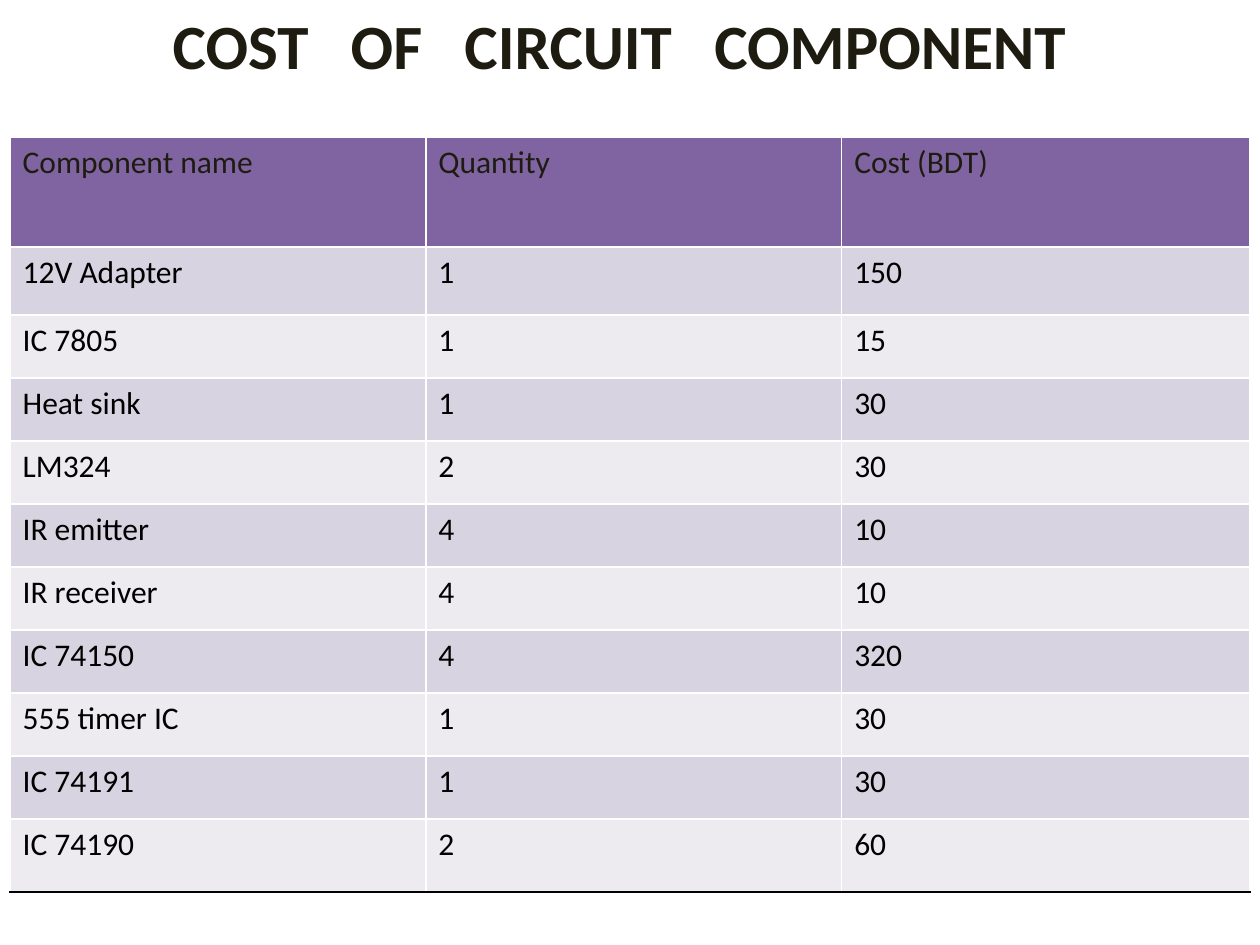
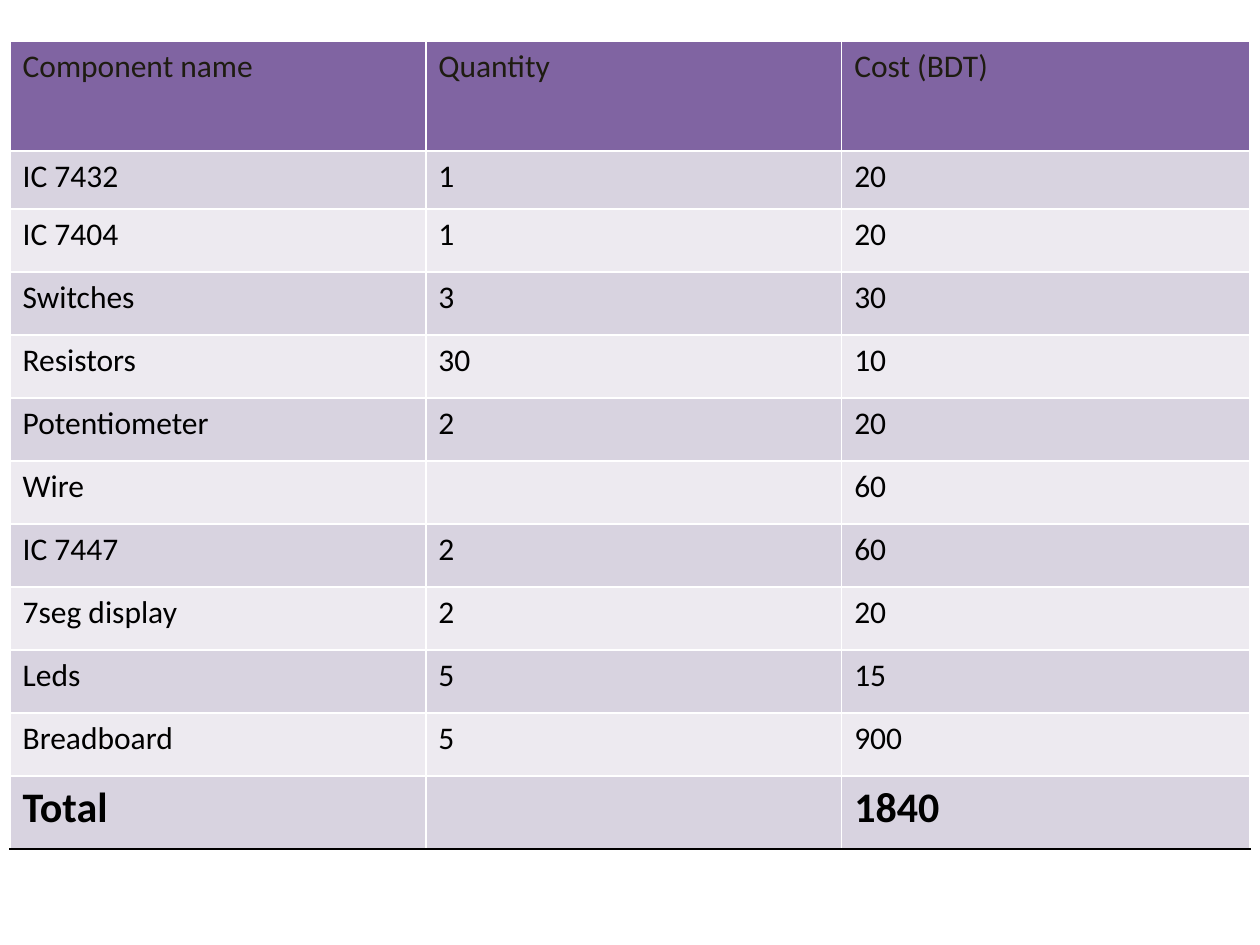
import dataclasses

import lxml.etree
import pptx
import pptx.dml.color
import pptx.enum.text
import pptx.oxml.ns
import pptx.util

Inches = pptx.util.Inches
Pt = pptx.util.Pt


@dataclasses.dataclass(frozen=True)
class Theme:
    font: str = "Calibri"
    heading: str = "1E1C11"
    text: str = "000000"
    header_fill: str = "8064A2"
    band_fills: tuple = ("D8D3E0", "EDEAF0")
    grid: str = "FFFFFF"
    closing_line: str = "000000"
    line_width: float = 1
    title_size: int = 36
    word_gap: int = 16
    body_size: int = 18
    total_size: int = 24


THEME = Theme()

HEADER = ("Component name", "Quantity", "Cost (BDT)")
COLUMN_WIDTHS = (3.3, 3.3, 3.24)
TABLE_LEFT = 0.08
HEADER_HEIGHT, ROW_HEIGHT, LAST_HEIGHT = 0.87, 0.5, 0.58

SLIDES = [
    {
        "title": "COST OF CIRCUIT COMPONENT",
        "table_top": 1.09,
        "first_height": 0.54,
        "components": [
            ("12V Adapter", "1", "150"),
            ("IC 7805", "1", "15"),
            ("Heat sink", "1", "30"),
            ("LM324", "2", "30"),
            ("IR emitter", "4", "10"),
            ("IR receiver", "4", "10"),
            ("IC 74150", "4", "320"),
            ("555 timer IC", "1", "30"),
            ("IC 74191", "1", "30"),
            ("IC 74190", "2", "60"),
        ],
    },
    {
        "table_top": 0.33,
        "first_height": 0.46,
        "components": [
            ("IC 7432", "1", "20"),
            ("IC 7404", "1", "20"),
            ("Switches", "3", "30"),
            ("Resistors", "30", "10"),
            ("Potentiometer", "2", "20"),
            ("Wire", "", "60"),
            ("IC 7447", "2", "60"),
            ("7seg display", "2", "20"),
            ("Leds", "5", "15"),
            ("Breadboard", "5", "900"),
        ],
        "total": ("Total", "", "1840"),
    },
]


def add_run(paragraph, text, size, color, bold=False):
    run = paragraph.add_run()
    run.text = text
    run.font.name = THEME.font
    run.font.size = Pt(size)
    run.font.bold = bold
    run.font.color.rgb = pptx.dml.color.RGBColor.from_string(color)
    return run


def add_title(slide, text):
    """Fill the title placeholder, widening the spaces between words."""
    title = slide.shapes.title
    title.left, title.top = Inches(0), Inches(0)
    title.width, title.height = Inches(9.83), Inches(0.71)
    frame = title.text_frame
    frame.word_wrap = True
    frame.auto_size = pptx.enum.text.MSO_AUTO_SIZE.SHAPE_TO_FIT_TEXT
    frame.vertical_anchor = pptx.enum.text.MSO_ANCHOR.TOP
    paragraph = frame.paragraphs[0]
    paragraph.alignment = pptx.enum.text.PP_ALIGN.CENTER
    for index, word in enumerate(text.split()):
        if index:
            gap = add_run(paragraph, " ", THEME.title_size, THEME.heading, True)
            gap.font._element.set("spc", str(THEME.word_gap * 100))
        add_run(paragraph, word, THEME.title_size, THEME.heading, True)


def set_borders(cell, bottom_color):
    properties = cell._tc.get_or_add_tcPr()
    qn = pptx.oxml.ns.qn
    for index, side in enumerate("LRTB"):
        line = lxml.etree.Element(qn(f"a:ln{side}"), w=str(Pt(THEME.line_width)))
        fill = lxml.etree.SubElement(line, qn("a:solidFill"))
        color = bottom_color if side == "B" else THEME.grid
        lxml.etree.SubElement(fill, qn("a:srgbClr"), val=color)
        properties.insert(index, line)


def format_cell(cell, text, fill, size, color, bold, bottom_color):
    cell.fill.solid()
    cell.fill.fore_color.rgb = pptx.dml.color.RGBColor.from_string(fill)
    set_borders(cell, bottom_color)
    if text:
        add_run(cell.text_frame.paragraphs[0], text, size, color, bold)


def add_cost_table(slide, content):
    rows = [HEADER, *content["components"]]
    if "total" in content:
        rows.append(content["total"])
    last = len(rows) - 1
    heights = [HEADER_HEIGHT, content["first_height"]]
    heights += [ROW_HEIGHT] * (last - 2) + [LAST_HEIGHT]
    table = slide.shapes.add_table(
        len(rows), len(HEADER), Inches(TABLE_LEFT), Inches(content["table_top"]),
        Inches(sum(COLUMN_WIDTHS)), Inches(sum(heights)),
    ).table
    for column, width in zip(table.columns, COLUMN_WIDTHS):
        column.width = Inches(width)
    for index, (values, height) in enumerate(zip(rows, heights)):
        table.rows[index].height = Inches(height)
        is_header = index == 0
        is_total = index == last and "total" in content
        fill = THEME.header_fill if is_header else THEME.band_fills[(index - 1) % 2]
        size = THEME.total_size if is_total else THEME.body_size
        color = THEME.heading if is_header else THEME.text
        bottom_color = THEME.closing_line if index == last else THEME.grid
        for cell, text in zip(table.rows[index].cells, values):
            format_cell(cell, text, fill, size, color, is_total, bottom_color)


def main():
    presentation = pptx.Presentation()
    presentation.slide_width = Inches(10)
    presentation.slide_height = Inches(7.5)
    title_only, blank = presentation.slide_layouts[5], presentation.slide_layouts[6]
    for content in SLIDES:
        has_title = "title" in content
        slide = presentation.slides.add_slide(title_only if has_title else blank)
        add_cost_table(slide, content)
        if has_title:
            add_title(slide, content["title"])
    presentation.save("out.pptx")


if __name__ == "__main__":
    main()
